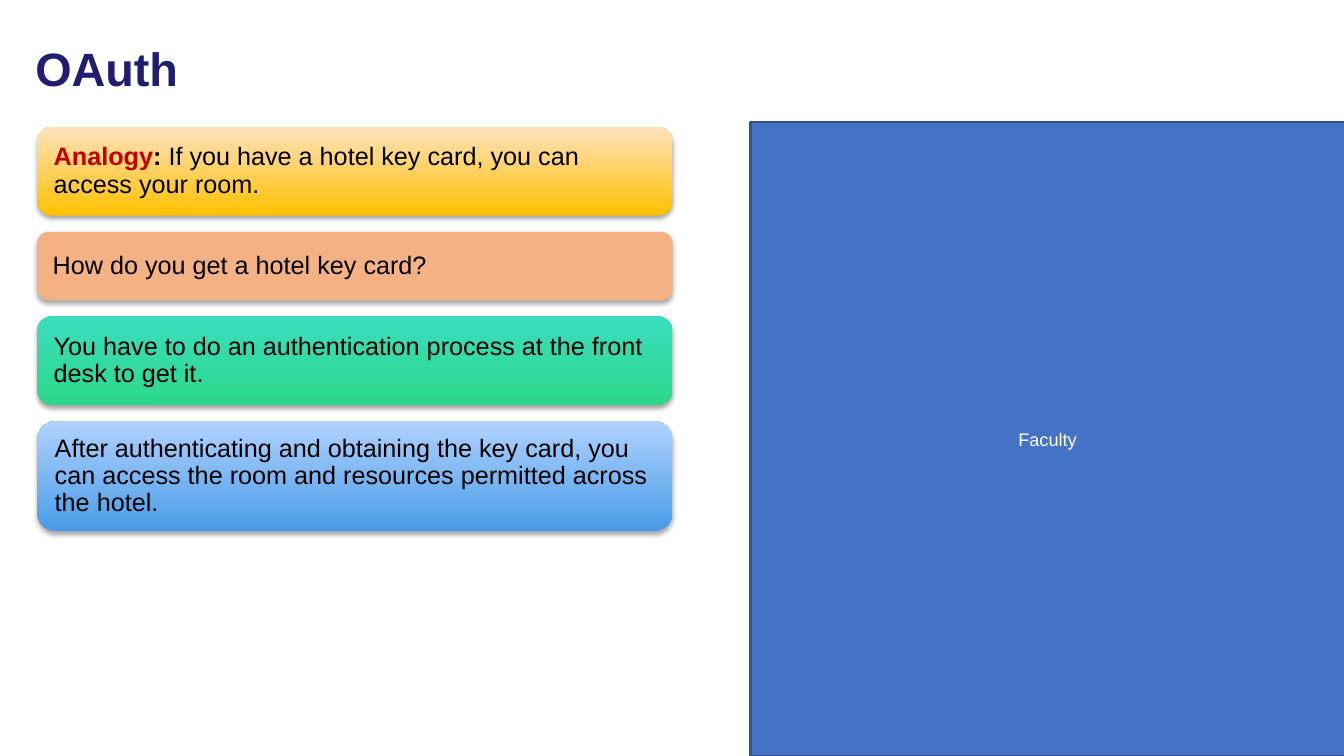
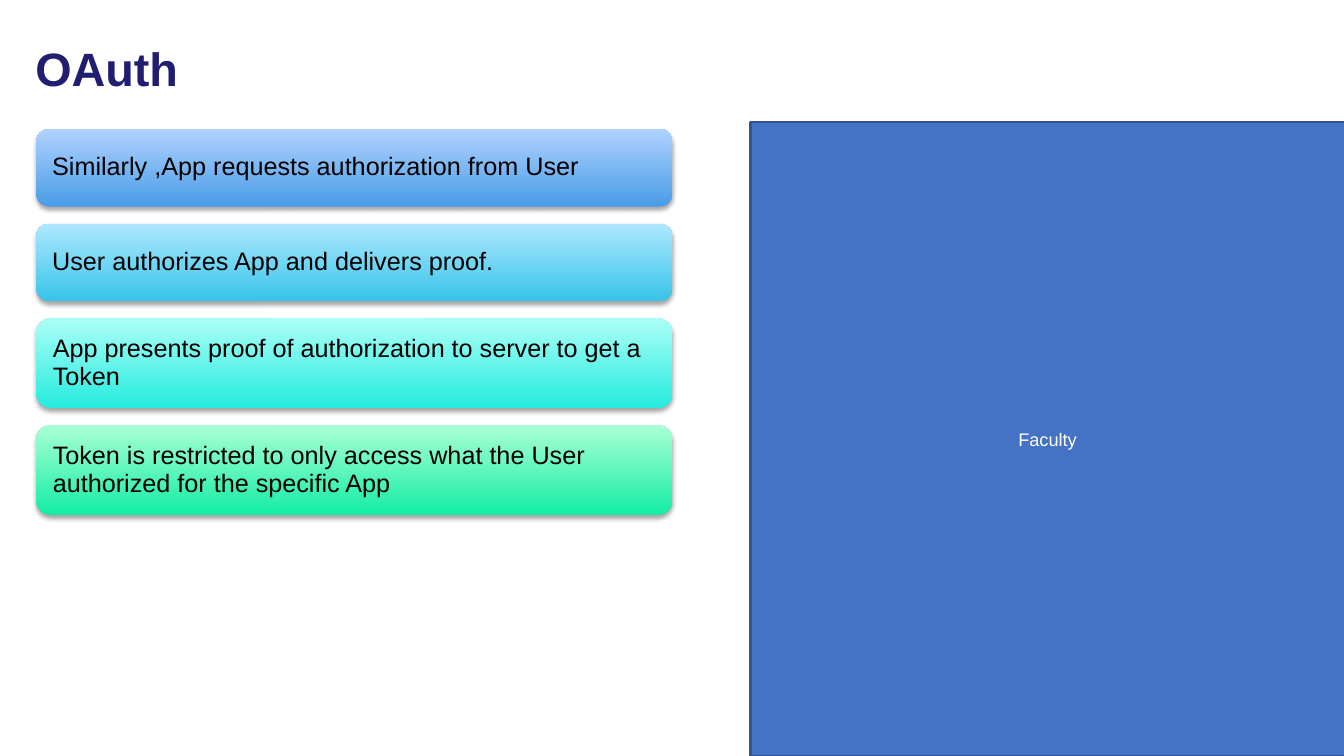
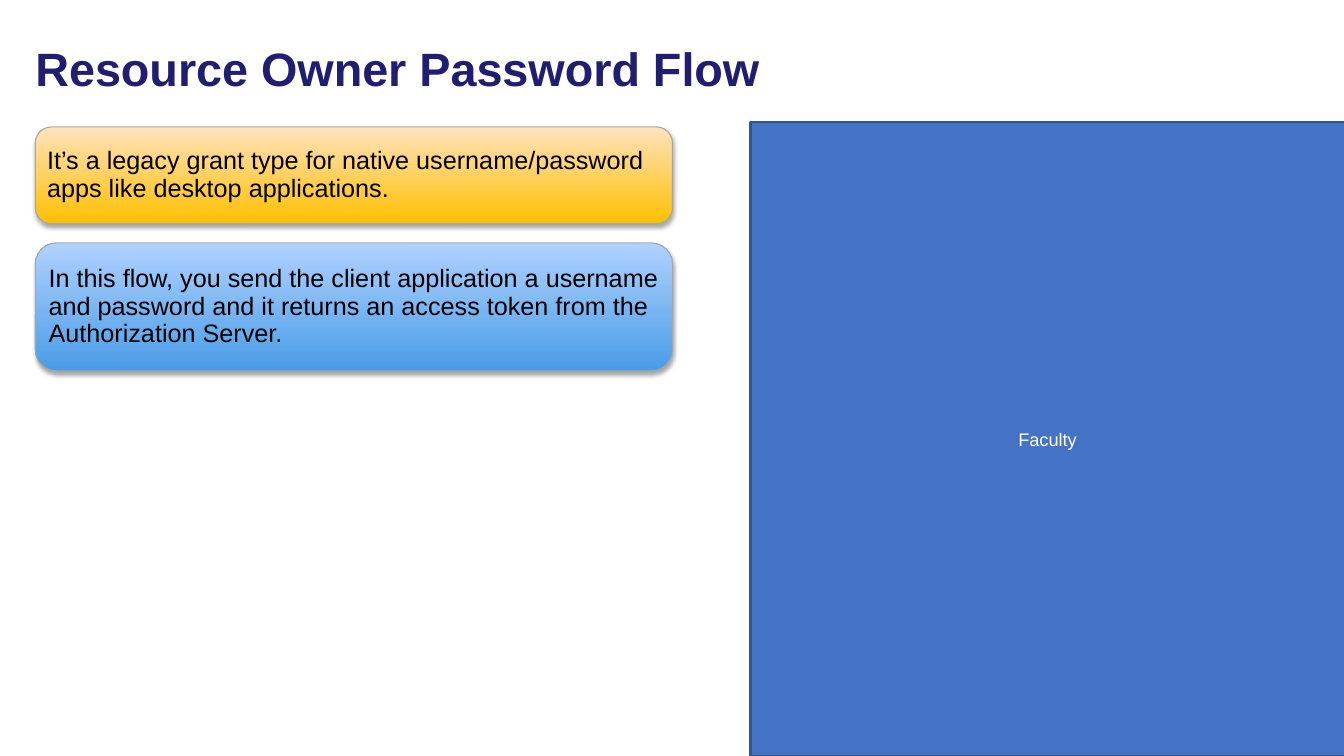
from lxml import etree
from pptx import Presentation
from pptx import util as u
from pptx.dml.color import RGBColor
from pptx.enum import shapes, text
from pptx.oxml.ns import qn

PX = 9144  # EMU per px, 100 px to the inch
RIGHT = 667  # right edge of the card column

# Shared colours and text formats
NAVY, BLUE, EDGE, GREY = "211D70", "4472C4", "325491", "A6A6A6"
BLACK, WHITE, RED = "000000", "FFFFFF", "C00000"
HEAD = dict(name="Arial", size=u.Pt(33.4), bold=True)
BODY = dict(name="Arial", size=u.Pt(18), bold=False)
NOTE = dict(name="Arial", size=u.Pt(13), bold=False)

# Card fills: bottom and top colour of a gradient, or one colour
GOLD = ("FFC000", "FFE2BD")
PEACH = ("F4B183",)
GREEN = ("2CD88A", "3BDDBE")
SKY = ("499CE7", "B0D2FF")
CYAN = ("37C4E9", "AEE8FF")
AQUA = ("25EBDE", "ABFFF7")
MINT = ("13EDA4", "AAFFD6")

# One dict a slide; each card is height, fill, text runs
SLIDES = [
    dict(title="OAuth", left=37, top=126, gap=16, cards=[
        (88, GOLD, [("Analogy", RED, True), (": ", BLACK, True),
                    ("If you have a hotel key card, you can access your room.",
                     BLACK, False)]),
        (68, PEACH, "How do you get a hotel key card?"),
        (88, GREEN, "You have to do an authentication process at the front "
                    "desk to get it."),
        (109, SKY, "After authenticating and obtaining the key card, you can "
                   "access the room and resources permitted across the hotel."),
    ]),
    dict(title="OAuth", left=36, top=128, gap=17, cards=[
        (77, SKY, "Similarly ,App requests authorization from User"),
        (77, CYAN, "User authorizes App and delivers proof."),
        (89, AQUA, "App presents proof of authorization to server to get a "
                   "Token"),
        (89, MINT, "Token is restricted to only access what the User "
                   "authorized for the specific App"),
    ]),
    dict(title="Resource Owner Password Flow", left=35, top=126, gap=19,
         inset=7, edge=GREY, cards=[
             (96, GOLD, "It’s a legacy grant type for native "
                        "username/password apps like desktop applications."),
             (127, SKY, "In this flow, you send the client application a "
                        "username and password and it returns an access token "
                        "from the Authorization Server."),
         ]),
]


def rgb(code):
    return RGBColor.from_string(code)


def put(item, props):
    for key, value in props.items():
        setattr(item, key, value)


def write(shape, runs, style, ins, align=text.PP_ALIGN.LEFT, lead=0.9):
    """Fill a shape with one paragraph of (text, colour, bold) runs."""
    frame = shape.text_frame
    sides = ("margin_left", "margin_top", "margin_right", "margin_bottom")
    put(frame, {side: n * PX for side, n in zip(sides, ins)})
    put(frame, dict(word_wrap=True, auto_size=text.MSO_AUTO_SIZE.NONE,
                    vertical_anchor=text.MSO_ANCHOR.MIDDLE))
    para = frame.paragraphs[0]
    put(para, dict(alignment=align, line_spacing=lead))
    for words, tone, bold in runs:
        run = para.add_run()
        run.text = words
        put(run.font, {**style, "bold": bold})
        run.font.color.rgb = rgb(tone)


def paint(shape, tones):
    fill = shape.fill
    if len(tones) == 1:
        fill.solid()
        fill.fore_color.rgb = rgb(tones[0])
        return
    fill.gradient()
    fill.gradient_angle = 90
    for stop, tone in zip(fill.gradient_stops, tones):
        stop.color.rgb = rgb(tone)


def box(slide, kind, area, tones, edge=None, width=0.75):
    shape = slide.shapes.add_shape(kind, *(n * PX for n in area))
    shape.shadow.inherit = False
    paint(shape, tones)
    if edge:
        shape.line.color.rgb = rgb(edge)
        shape.line.width = u.Pt(width)
    else:
        shape.line.fill.background()
    return shape


def shade(shape):
    """Give a shape a soft shadow straight below it."""
    effect = shape._element.spPr.find(qn("a:effectLst"))
    outer = etree.SubElement(effect, qn("a:outerShdw"), blurRad="40000",
                             dist="23000", dir="5400000", rotWithShape="0")
    tone = etree.SubElement(outer, qn("a:srgbClr"), val=BLACK)
    etree.SubElement(tone, qn("a:alpha"), val="35000")


def title(slide, words):
    head = slide.shapes.title
    put(head, dict(left=25 * PX, top=25 * PX, width=1181 * PX, height=91 * PX))
    write(head, [(words, NAVY, True)], HEAD, (10, 5, 10, 5))


def panel(slide):
    shape = box(slide, shapes.MSO_SHAPE.RECTANGLE, (744, 121, 590, 629),
                (BLUE,), EDGE, 2)
    write(shape, [("Faculty", WHITE, False)], NOTE, (10, 5, 10, 5),
          text.PP_ALIGN.CENTER, 1.0)


def stack(slide, cards, left, top, gap, inset=12, edge=None):
    """Stack cards downwards with equal gaps."""
    for high, tones, words in cards:
        card = box(slide, shapes.MSO_SHAPE.ROUNDED_RECTANGLE,
                   (left, top, RIGHT - left, high), tones, edge)
        shade(card)
        runs = [(words, BLACK, False)] if isinstance(words, str) else words
        write(card, runs, BODY, (inset, 7, 7, 7))
        top += high + gap


def main():
    deck = Presentation()
    put(deck, dict(slide_width=1333 * PX, slide_height=750 * PX))
    for page in SLIDES:
        slide = deck.slides.add_slide(deck.slide_layouts[5])
        panel(slide)
        title(slide, page["title"])
        stack(slide, **{k: v for k, v in page.items() if k != "title"})
    deck.save("out.pptx")


if __name__ == "__main__":
    main()
